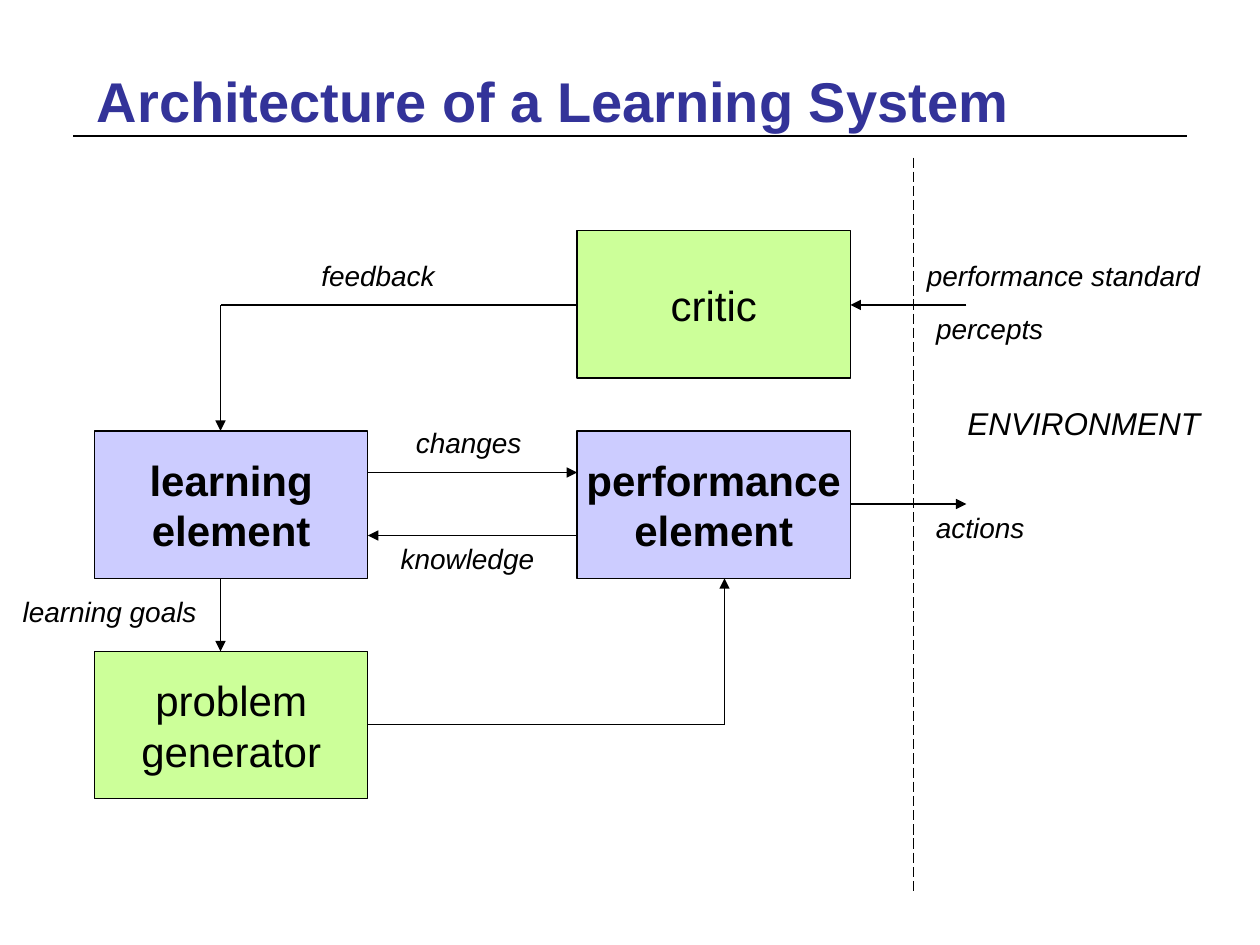
import pptx
import pptx.util
import pptx.dml.color
import pptx.enum.dml
import pptx.enum.shapes
import pptx.enum.text
import pptx.oxml.ns
import lxml.etree

Inches, Pt = pptx.util.Inches, pptx.util.Pt
ALIGN, ANCHOR = pptx.enum.text.PP_ALIGN, pptx.enum.text.MSO_ANCHOR
COLORS = {"title": "333399", "ink": "000000", "core": "CCCCFF", "support": "CCFF99"}
FONT = "Arial"

# Content: the diagram's columns, rows and box size in inches
LEFT, RIGHT = 0.75, 4.58
TOP, MIDDLE, BOTTOM = 1.83, 3.42, 5.17
BOX_WIDTH, BOX_HEIGHT = 2.17, 1.17
LEFT_EDGE, RIGHT_EDGE = LEFT + BOX_WIDTH, RIGHT + BOX_WIDTH
MIDDLE_EDGE = MIDDLE + BOX_HEIGHT
LEARNING_X, GENERATOR_X, OUTSIDE_X = 1.75, 5.75, 7.67
CRITIC_Y, GENERATOR_Y = 2.42, 5.75

TITLE = "Architecture of a Learning System"

# text, left, top, fill, bold
elements = [
    ("learning\nelement", LEFT, MIDDLE, "core", True),
    ("critic", RIGHT, TOP, "support", False),
    ("problem\ngenerator", LEFT, BOTTOM, "support", False),
    ("performance\nelement", RIGHT, MIDDLE, "core", True),
]

# Each flow runs through its points and ends in an arrowhead
flows = [
    [(LEFT_EDGE, 3.75), (RIGHT, 3.75)],
    [(RIGHT, 4.25), (LEFT_EDGE, 4.25)],
    [(LEFT_EDGE, GENERATOR_Y), (GENERATOR_X, GENERATOR_Y), (GENERATOR_X, MIDDLE_EDGE)],
    [(LEARNING_X, MIDDLE_EDGE), (LEARNING_X, BOTTOM)],
    [(OUTSIDE_X, CRITIC_Y), (RIGHT_EDGE, CRITIC_Y)],
    [(RIGHT_EDGE, 4), (OUTSIDE_X, 4)],
    [(RIGHT, CRITIC_Y), (LEARNING_X, CRITIC_Y), (LEARNING_X, MIDDLE)],
]

# text, left, top, width
labels = [
    ("feedback", 2.45, 2, 1.1),
    ("changes", 3.2, 3.33, 1.04),
    ("learning goals", 0.08, 4.67, 1.58),
    ("actions", 7.33, 4, 0.9),
    ("percepts", 7.33, 2.42, 1.05),
    ("performance standard", 7.25, 2, 2.38),
    ("knowledge", 3.08, 4.25, 1.26),
]

deck = pptx.Presentation()
deck.slide_width, deck.slide_height = Inches(10), Inches(7.5)
page = deck.slides.add_slide(deck.slide_layouts[6])


def rgb(name):
    return pptx.dml.color.RGBColor.from_string(COLORS[name])


def write(shape, text, size, align, color="ink", bold=False, italic=False, wrap=False):
    frame = shape.text_frame
    frame.text = text
    frame.word_wrap = wrap
    for paragraph in frame.paragraphs:
        paragraph.alignment = align
        for span in paragraph.runs:
            span.font.name, span.font.size = FONT, Pt(size)
            span.font.bold, span.font.italic = bold, italic
            span.font.color.rgb = rgb(color)


def add_text(text, left, top, width, height, size, align, **style):
    box = page.shapes.add_textbox(Inches(left), Inches(top), Inches(width), Inches(height))
    write(box, text, size, align, **style)
    return box


def add_line(start, end, width=0.75, arrow=False):
    line = page.shapes.add_connector(
        pptx.enum.shapes.MSO_CONNECTOR.STRAIGHT, *map(Inches, (*start, *end)))
    line.line.color.rgb = rgb("ink")
    line.line.width = Pt(width)
    properties = line._element.spPr
    if arrow:
        outline = properties.find(pptx.oxml.ns.qn("a:ln"))
        lxml.etree.SubElement(outline, pptx.oxml.ns.qn("a:tailEnd"), type="triangle")
    lxml.etree.SubElement(properties, pptx.oxml.ns.qn("a:effectLst"))
    return line


# Title and rule
add_line((0.58, 1.08), (9.42, 1.08), width=1)
title = add_text(TITLE, 0.67, 0.42, 8.67, 1, 32, ALIGN.LEFT,
                 color="title", bold=True, wrap=True)
title.text_frame.margin_top = Inches(0.11)

# Elements of the system
for text, left, top, fill, bold in elements:
    box = page.shapes.add_shape(
        pptx.enum.shapes.MSO_SHAPE.RECTANGLE,
        *map(Inches, (left, top, BOX_WIDTH, BOX_HEIGHT)))
    box.shadow.inherit = False
    box.fill.solid()
    box.fill.fore_color.rgb = rgb(fill)
    box.line.color.rgb = rgb("ink")
    box.line.width = Pt(0.75)
    write(box, text, 24, ALIGN.CENTER, bold=bold)
    box.text_frame.vertical_anchor = ANCHOR.MIDDLE

# Flows between them
for points in flows:
    for index, (start, end) in enumerate(zip(points, points[1:])):
        add_line(start, end, arrow=index == len(points) - 2)

# Border to the environment
border = add_line((7.25, 1.25), (7.25, 7.08))
border.line.dash_style = pptx.enum.dml.MSO_LINE.LONG_DASH
add_text("ENVIRONMENT", 7.58, 3.16, 2.05, 0.4, 18, ALIGN.LEFT, italic=True)

# Flow labels
for text, left, top, width in labels:
    add_text(text, left, top, width, 0.37, 16, ALIGN.CENTER, italic=True)

deck.save("out.pptx")
